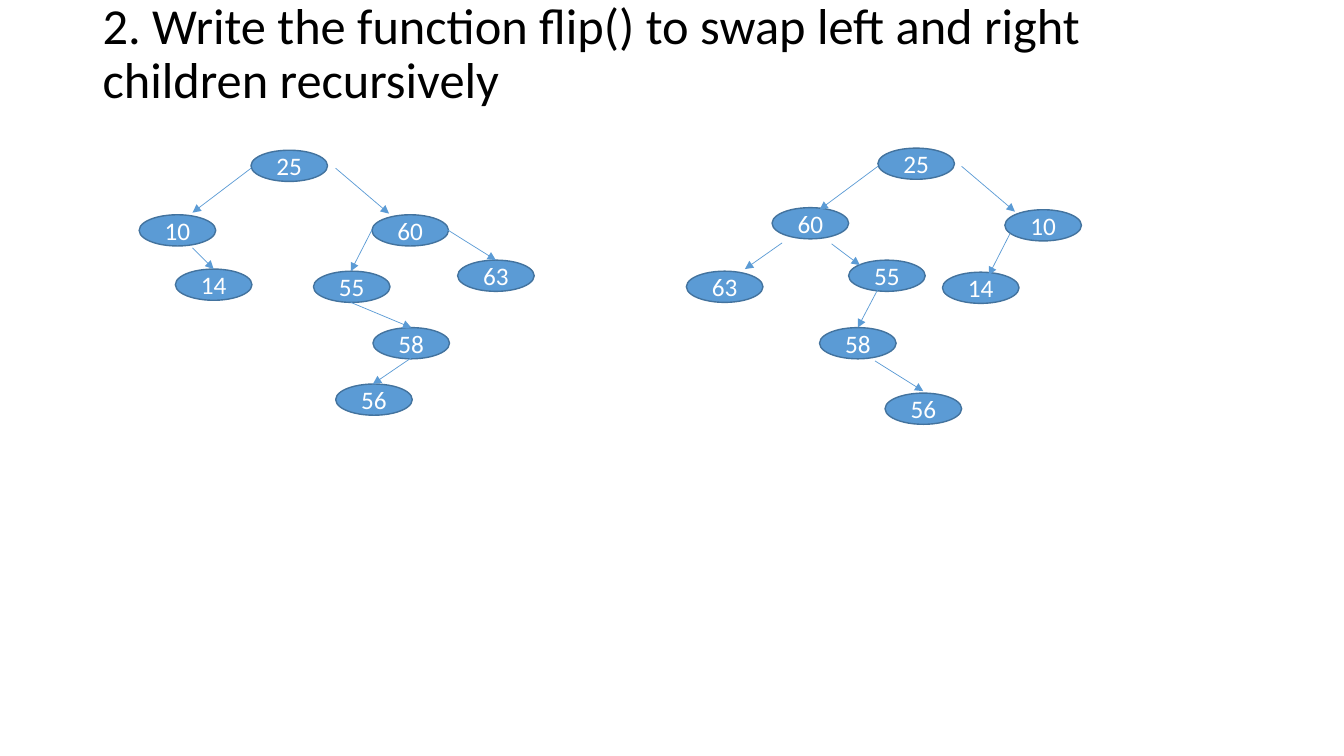
from lxml import etree
from pptx import Presentation
from pptx.dml.color import RGBColor
from pptx.enum import shapes, text
from pptx.oxml.ns import qn
from pptx.util import Pt

TITLE = "2. Write the function flip() to swap left and right children recursively"
FONT = "Calibri"
BLUE, OUTLINE, WHITE, BLACK = "5B9BD5", "43739E", "FFFFFF", "000000"
NODE_WIDTH, NODE_HEIGHT = 54.7, 22.3

# nodes: value -> (left, top); branches: (start x, start y, end x, end y)
TREES = [
    {
        "nodes": {25: (179.3, 107.3), 10: (99.4, 153.4), 14: (125.3, 192.2),
                  60: (265.7, 153.4), 63: (326.9, 185.8), 55: (223.9, 193.7),
                  58: (266.4, 234), 56: (239.8, 274.3)},
        "branches": [(179.3, 120.2, 137.5, 151.9), (239.8, 120.2, 277.9, 152.6),
                     (137.5, 177.1, 152.6, 192.2), (319.7, 164.2, 354.2, 185.8),
                     (265.7, 164.2, 250.6, 193.7), (250.6, 216, 293.8, 234),
                     (293.8, 255.6, 266.4, 274.3)],
    },
    {
        "nodes": {25: (627.1, 105.8), 10: (717.8, 149.8), 14: (673.2, 194.4),
                  60: (551.5, 148.3), 63: (490.3, 193.7), 55: (606.2, 185.8),
                  58: (585.4, 234), 56: (632.2, 280.8)},
        "branches": [(627.1, 118.8, 585.4, 149.8), (686.9, 118.8, 725, 151.2),
                     (721.4, 167, 706.3, 196.6), (558.7, 173.5, 532.1, 192.2),
                     (594, 174.2, 614.2, 189.4), (627.1, 206.6, 612.7, 234),
                     (625, 257.8, 659.5, 279.4)],
    },
]


def color(hex_code):
    """Turn a hex string into a colour."""
    return RGBColor.from_string(hex_code)


def write(shape, words, size, hex_code, align):
    """Put one vertically centred run of text into a shape."""
    frame = shape.text_frame
    frame.word_wrap = True
    frame.vertical_anchor = text.MSO_ANCHOR.MIDDLE
    paragraph = frame.paragraphs[0]
    paragraph.alignment = align
    run = paragraph.add_run()
    run.text = words
    run.font.name = FONT
    run.font.size = Pt(size)
    run.font.color.rgb = color(hex_code)
    return frame


def add_title(slide):
    """Add the title, raised by a deep bottom margin."""
    box = slide.shapes.add_textbox(Pt(66.2), Pt(28.8), Pt(834.5), Pt(60.5))
    frame = write(box, TITLE, 36, BLACK, text.PP_ALIGN.LEFT)
    frame.margin_bottom = Pt(42.5)
    frame.paragraphs[0].line_spacing = 0.9


def add_node(slide, value, left, top):
    """Add one tree node."""
    node = slide.shapes.add_shape(shapes.MSO_SHAPE.OVAL, Pt(left), Pt(top),
                                  Pt(NODE_WIDTH), Pt(NODE_HEIGHT))
    node.shadow.inherit = False
    node.fill.solid()
    node.fill.fore_color.rgb = color(BLUE)
    node.line.color.rgb = color(OUTLINE)
    node.line.width = Pt(1)
    write(node, str(value), 18, WHITE, text.PP_ALIGN.CENTER)


def add_branch(slide, ends):
    """Add one arrow from a parent to its child."""
    branch = slide.shapes.add_connector(shapes.MSO_CONNECTOR.STRAIGHT,
                                        *map(Pt, ends))
    branch.line.color.rgb = color(BLUE)
    branch.line.width = Pt(0.5)
    etree.SubElement(branch.line._get_or_add_ln(), qn("a:tailEnd"), type="triangle")
    etree.SubElement(branch._element.spPr, qn("a:effectLst"))


deck = Presentation()
deck.slide_width, deck.slide_height = Pt(960), Pt(540)
slide = deck.slides.add_slide(deck.slide_layouts[6])

add_title(slide)
for tree in TREES:
    for value, (left, top) in tree["nodes"].items():
        add_node(slide, value, left, top)
    for ends in tree["branches"]:
        add_branch(slide, ends)

deck.save("out.pptx")
